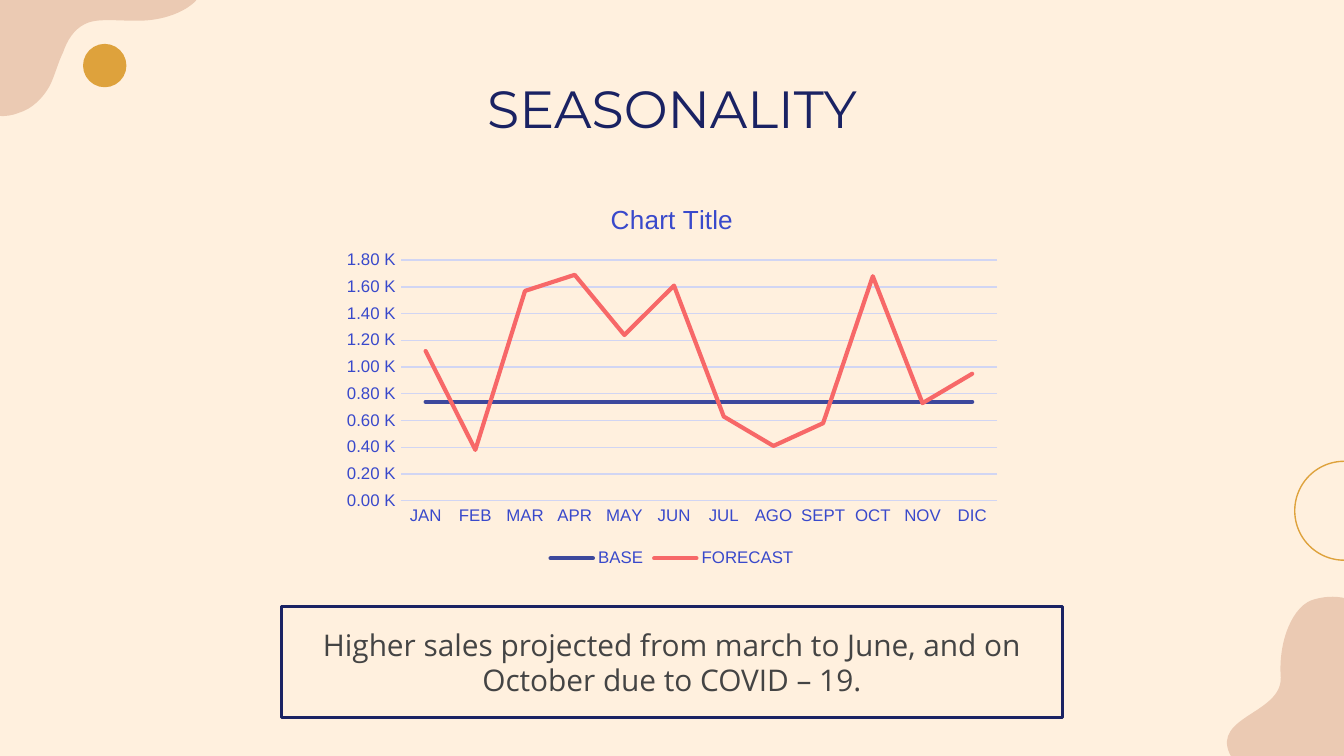
from dataclasses import dataclass
from typing import Optional

import lxml.etree
import pptx
import pptx.chart.data
import pptx.dml.color
import pptx.enum.chart
import pptx.enum.shapes
import pptx.enum.text
import pptx.oxml.ns
import pptx.util

Cm = pptx.util.Cm
Pt = pptx.util.Pt
RGBColor = pptx.dml.color.RGBColor

CREAM = RGBColor(0xFF, 0xF0, 0xDE)
SAND = RGBColor(0xEB, 0xCA, 0xB3)
GOLD = RGBColor(0xDE, 0xA2, 0x3C)
NAVY = RGBColor(0x1A, 0x22, 0x63)
GREY = RGBColor(0x44, 0x44, 0x44)
LABEL_BLUE = RGBColor(0x39, 0x49, 0xCB)
GRID_BLUE = RGBColor(0xD1, 0xD5, 0xF3)
BASE_BLUE = RGBColor(0x3D, 0x48, 0x9C)
CORAL = RGBColor(0xF7, 0x68, 0x68)

BLOB_UNIT = Cm(2.54)
NUMBER_FORMAT = '#,##0.00,\\ "K"'
MONTHS = ["JAN", "FEB", "MAR", "APR", "MAY", "JUN",
          "JUL", "AGO", "SEPT", "OCT", "NOV", "DIC"]


@dataclass
class Blob:
    start: tuple
    curves: list


@dataclass
class Circle:
    left: float
    top: float
    diameter: float
    fill: Optional[RGBColor] = None
    line: Optional[RGBColor] = None


@dataclass
class Caption:
    text: str
    frame: tuple
    font: str
    size: float
    color: RGBColor
    border: Optional[RGBColor] = None


@dataclass
class Series:
    name: str
    values: list
    color: RGBColor


BLOBS = [
    Blob((1.47, -0.01), [
        (1.45, 0.02, 1.42, 0.04, 1.39, 0.06), (1.31, 0.11, 1.21, 0.14, 1.11, 0.15),
        (1.01, 0.16, 0.91, 0.15, 0.82, 0.15), (0.75, 0.15, 0.69, 0.15, 0.63, 0.18),
        (0.55, 0.22, 0.5, 0.3, 0.47, 0.39), (0.43, 0.47, 0.41, 0.56, 0.37, 0.64),
        (0.32, 0.73, 0.24, 0.81, 0.14, 0.84), (0.04, 0.88, -0.07, 0.87, -0.16, 0.81),
        (-0.24, 0.76, -0.29, 0.67, -0.31, 0.58), (-0.33, 0.48, -0.31, 0.38, -0.29, 0.29),
        (-0.23, 0.11, -0.1, -0.06, 0.09, -0.1), (0.2, -0.13, 0.32, -0.1, 0.43, -0.08),
        (0.73, -0.04, 1.03, -0.04, 1.32, -0.08), (1.36, -0.08, 1.4, -0.09, 1.44, -0.1),
        (1.46, -0.11, 1.48, -0.12, 1.49, -0.1), (1.5, -0.07, 1.48, -0.03, 1.47, -0.01),
    ]),
    Blob((10.37, 4.75), [
        (10.37, 4.75, 10.59, 5.19, 10.3, 5.59), (9.98, 6.04, 9.27, 5.86, 9.15, 5.61),
        (9.02, 5.33, 9.54, 5.31, 9.53, 5.04), (9.51, 4.77, 9.62, 4.5, 9.78, 4.46),
        (10.17, 4.35, 10.37, 4.75, 10.37, 4.75),
    ]),
]
CIRCLES = [
    Circle(24.47, 8.72, 1.87, line=GOLD),
    Circle(1.57, 0.83, 0.82, fill=GOLD),
]
CAPTIONS = [
    Caption("SEASONALITY", (1.98, 1.24, 21.44, 1.6), "Montserrat", 28, NAVY),
    Caption("Higher sales projected from march to June, and on October due to COVID – 19.",
            (5.32, 11.46, 14.76, 2.11), "Open Sans", 16, GREY, NAVY),
]
SERIES = [
    Series("BASE", [740] * len(MONTHS), BASE_BLUE),
    Series("FORECAST", [1120, 380, 1570, 1690, 1240, 1610,
                        630, 410, 580, 1680, 730, 950], CORAL),
]


def paint(shape, fill: Optional[RGBColor], line: Optional[RGBColor], width: float) -> None:
    shape.shadow.inherit = False
    if fill is None:
        shape.fill.background()
    else:
        shape.fill.solid()
        shape.fill.fore_color.rgb = fill
    if line is None:
        shape.line.fill.background()
    else:
        shape.line.color.rgb = line
        shape.line.width = Pt(width)


def draw_blob(page, blob: Blob) -> None:
    points = [tuple(round(length * BLOB_UNIT) for length in point)
              for curve in blob.curves for point in zip(curve[::2], curve[1::2])]
    start = [round(length * BLOB_UNIT) for length in blob.start]
    builder = page.shapes.build_freeform(*start)
    builder.add_line_segments(points, close=True)
    shape = builder.convert_to_shape()
    segments = shape._element.xpath(".//a:path/a:lnTo")[:len(points)]
    for index in range(0, len(segments), 3):
        curve = lxml.etree.Element(pptx.oxml.ns.qn("a:cubicBezTo"))
        segments[index].addprevious(curve)
        for segment in segments[index:index + 3]:
            curve.append(segment[0])
            segment.getparent().remove(segment)
    paint(shape, SAND, None, 0)


def draw_circle(page, circle: Circle) -> None:
    diameter = Cm(circle.diameter)
    shape = page.shapes.add_shape(pptx.enum.shapes.MSO_SHAPE.OVAL, Cm(circle.left),
                                  Cm(circle.top), diameter, diameter)
    paint(shape, circle.fill, circle.line, 0.75)


def style_font(font, size: float, color: RGBColor, name: str = "Arial") -> None:
    font.name = name
    font.size = Pt(size)
    font.bold = False
    font.color.rgb = color


def draw_caption(page, caption: Caption) -> None:
    frame = [Cm(length) for length in caption.frame]
    if caption.border is None:
        box = page.shapes.add_textbox(*frame)
    else:
        box = page.shapes.add_shape(pptx.enum.shapes.MSO_SHAPE.RECTANGLE, *frame)
        paint(box, None, caption.border, 1.5)
    text_frame = box.text_frame
    text_frame.text = caption.text
    text_frame.word_wrap = True
    text_frame.vertical_anchor = pptx.enum.text.MSO_ANCHOR.MIDDLE
    text_frame.margin_left = text_frame.margin_right = Cm(0.25)
    text_frame.margin_top = text_frame.margin_bottom = Cm(0.25)
    para = text_frame.paragraphs[0]
    para.alignment = pptx.enum.text.PP_ALIGN.CENTER
    style_font(para.runs[0].font, caption.size, caption.color, caption.font)


def draw_chart(page) -> None:
    data = pptx.chart.data.CategoryChartData(number_format=NUMBER_FORMAT)
    data.categories = MONTHS
    for series in SERIES:
        data.add_series(series.name, series.values)
    chart = page.shapes.add_chart(pptx.enum.chart.XL_CHART_TYPE.LINE, Cm(6.3), Cm(3.45),
                                  Cm(12.8), Cm(7.39), data).chart
    style_font(chart.font, 10, NAVY)
    chart.has_title = True
    chart.chart_title.text_frame.text = "Chart Title"
    chart.chart_title.include_in_layout = False
    style_font(chart.chart_title.text_frame.paragraphs[0].runs[0].font, 14, LABEL_BLUE)
    chart.has_legend = True
    chart.legend.position = pptx.enum.chart.XL_LEGEND_POSITION.BOTTOM
    chart.legend.include_in_layout = False
    style_font(chart.legend.font, 9, LABEL_BLUE)
    for axis in (chart.category_axis, chart.value_axis):
        axis.major_tick_mark = pptx.enum.chart.XL_TICK_MARK.NONE
        axis.minor_tick_mark = pptx.enum.chart.XL_TICK_MARK.NONE
        style_font(axis.tick_labels.font, 9, LABEL_BLUE)
    values = chart.value_axis
    values.minimum_scale, values.maximum_scale, values.major_unit = 0, 1800, 200
    values.tick_labels.number_format = NUMBER_FORMAT
    values.tick_labels.number_format_is_linked = False
    values.format.line.fill.background()
    for line in (chart.category_axis.format.line, values.major_gridlines.format.line):
        line.color.rgb = GRID_BLUE
        line.width = Pt(0.75)
    chart.plots[0].vary_by_categories = False
    for plotted, series in zip(chart.plots[0].series, SERIES):
        plotted.smooth = False
        plotted.marker.style = pptx.enum.chart.XL_MARKER_STYLE.NONE
        plotted.format.line.color.rgb = series.color
        plotted.format.line.width = Pt(2.25)
        plotted._element.xpath("./c:spPr/a:ln")[0].set("cap", "rnd")


def main() -> None:
    deck = pptx.Presentation()
    deck.slide_width, deck.slide_height = Cm(25.4), Cm(14.29)
    page = deck.slides.add_slide(deck.slide_layouts[6])
    page.background.fill.solid()
    page.background.fill.fore_color.rgb = CREAM
    for blob in BLOBS:
        draw_blob(page, blob)
    for circle in CIRCLES:
        draw_circle(page, circle)
    for caption in CAPTIONS:
        draw_caption(page, caption)
    draw_chart(page)
    deck.save("out.pptx")


if __name__ == "__main__":
    main()
